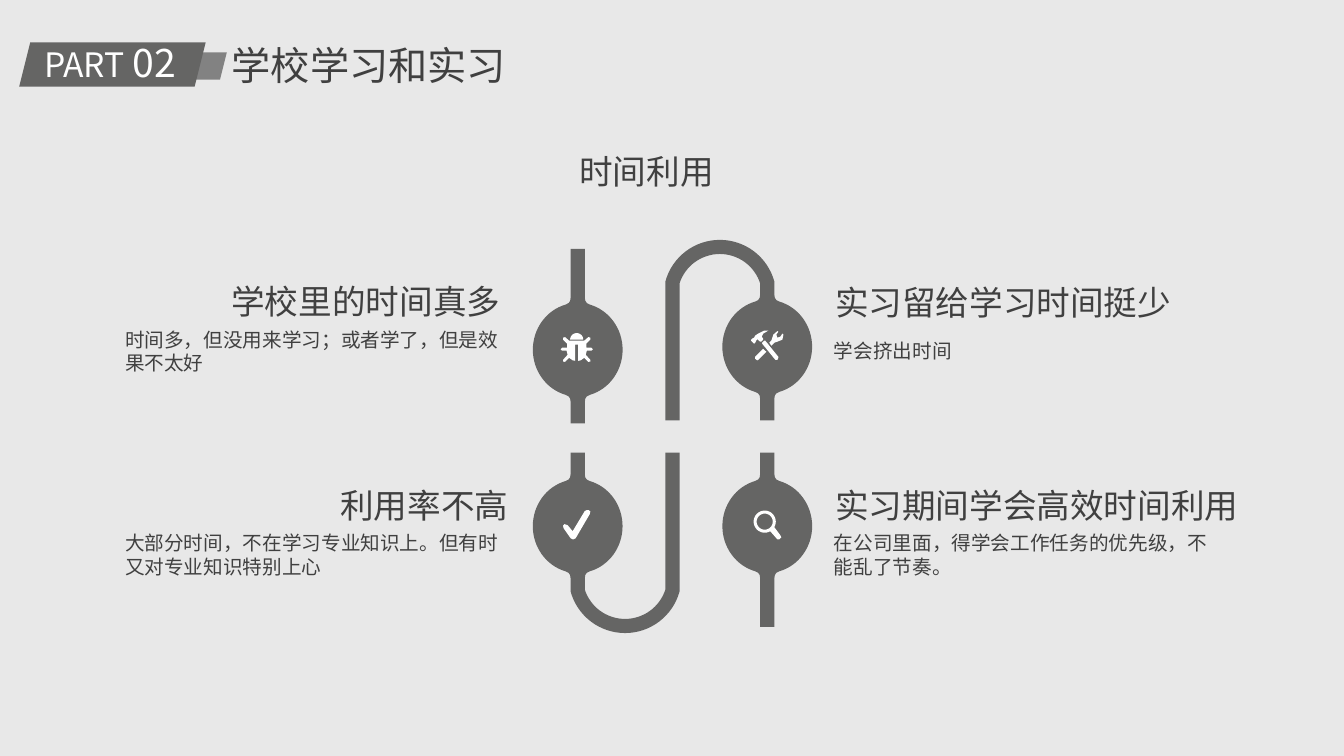
from dataclasses import dataclass
from math import acos, asin, cos, degrees, radians, sin
from typing import Optional

from pptx import Presentation
from pptx.dml.color import RGBColor as Rgb
from pptx.enum.shapes import MSO_SHAPE as Preset
from pptx.enum.text import MSO_AUTO_SIZE as AutoSize, PP_ALIGN as Align
from pptx.oxml.ns import qn
from pptx.util import Inches, Pt

Point = tuple[float, float]
Contour = list[Point]

# The slide is a grid of 1333 columns by 750 rows
COLUMNS, ROWS = 1333, 750
CELL = Inches(0.01)
FONT = "Noto Sans CJK SC"
COLORS = {"back": "E8E8E8", "track": "656564", "tab": "828282",
          "ink": "404040", "white": "FFFFFF"}

# Track measures, in cells
STEM, NODE_X, NODE_Y = 7, 44.5, 46.5
LONG_END, SHORT_END = 100, 73
POLE, BEND_Y, BEND_RADIUS = 94, 50, 49


@dataclass
class Label:
    spans: list[tuple[str, int]]
    left: float
    top: float
    width: float
    height: float
    align: Align = Align.LEFT
    color: str = "ink"
    body: bool = False


@dataclass
class Station:
    column: float
    row: float
    turn: int  # -1 turns the track upside down
    bent: bool
    icon: list[Contour]
    icon_column: float
    icon_row: float


def arc(x: float, y: float, radius: float, start: float, end: float,
        radius_y: Optional[float] = None, steps: int = 32) -> Contour:
    """Points along an arc, in degrees clockwise from the right."""
    angles = [radians(start + (end - start) * i / steps) for i in range(steps + 1)]
    return [(x + radius * cos(a), y + (radius_y or radius) * sin(a)) for a in angles]


def mirror(points: Contour) -> Contour:
    return [(-x, y) for x, y in reversed(points)]


def node_side() -> Contour:
    """Right side of a round node with its two flared necks, top to bottom."""
    flare = [(STEM, 52), (7.5, 48.5), (9, 46.3)]
    reach = degrees(acos(12 / NODE_X))
    upper = [(x, -y) for x, y in flare]
    return upper + arc(0, 0, NODE_X, -reach, reach, NODE_Y) + flare[::-1]


def straight_track() -> Contour:
    side = [(STEM, -LONG_END), *node_side(), (STEM, SHORT_END)]
    return side + mirror(side)


def bent_track() -> Contour:
    side = [(STEM, -SHORT_END), *node_side()]
    middle, outer, inner = POLE / 2, BEND_RADIUS + STEM, BEND_RADIUS - STEM
    low_inner = degrees(acos((middle - STEM) / inner))
    low_outer = degrees(acos((middle + STEM) / outer))
    return [*side,
            *arc(middle, BEND_Y, inner, 180 - low_inner, low_inner),
            (POLE - STEM, -SHORT_END), (POLE + STEM, -SHORT_END),
            *arc(middle, BEND_Y, outer, low_outer, 180 - low_outer),
            *mirror(side)]


# Icons, in cells around their centres
BUG_SIDE = [(1.5, -3), (1.5, 13), (4, 12.5), (7.5, 10), (11.5, 14), (13.5, 13.8),
            (13.5, 12), (9, 7), (10, 3), (14.5, 3), (16, 1.5), (14.5, 0), (9.5, 0),
            (9.5, -4), (13.5, -8), (13.5, -10), (11.5, -10.5), (7.5, -7)]
BUG = [BUG_SIDE + mirror(BUG_SIDE), arc(0, -8, 6.5, 180, 360)]
CHECK = [[(-4, 14), (-6, 13), (-13, 3), (-13.5, 0.5), (-12, -1), (-9, 0), (-4, 6),
          (8, -14), (10, -15), (12, -15), (13.5, -13.5), (13, -11), (-1, 13), (-3, 14)]]
LENS = [arc(-2.5, -3.5, 11, 60, 390) + [(13, 10), (14, 12), (12, 14), (10, 14)],
        arc(-2.5, -3.5, 8, 360, 0)]
TOOLS = [
    [(-12, 11), (-12, 13), (-10, 14.5), (-9, 14), (-1, 6), (-4, 3)],
    [(16, -11), (15, -12), (13, -9), (10, -8), (9, -11), (11, -14), (10, -14.5),
     (6, -11), (4, -5), (2, -3), (4, 0), (7, -3), (10, -4), (15, -6)],
    [(-2, -5), (-3, -5), (-5, -3), (-5, -2), (8, 14), (10, 14), (11, 12), (11, 11)],
    [(-11, -5), (-10, -6.5), (-7, -4), (-6, -4), (-4, -6), (-4, -7), (-5.5, -9),
     (-4, -12), (1, -15), (-3, -15), (-9, -12), (-12, -10), (-13, -8), (-15, -7),
     (-16, -6), (-16, -5), (-14, -3), (-13, -2), (-12, -3)],
]

STATIONS = [
    Station(573, 347, 1, False, BUG, 572, 345),
    Station(573, 522, 1, True, CHECK, 572, 521),
    Station(761, 344, -1, True, TOOLS, 761, 343),
    Station(761, 522, -1, False, LENS, 761, 521),
]

TABS = [("tab", 171, 52, 54, 27), ("track", 19, 42, 185, 44)]

LABELS = [
    Label([("PART ", 24), ("02", 28)], 34, 33, 154, 57, color="white"),
    Label([("学校学习和实习", 28)], 220, 36, 382, 57),
    Label([("时间利用 ", 24)], 452, 145, 386, 50, Align.CENTER),
    Label([("学校里的时间真多", 24)], 120, 274, 386, 50, Align.RIGHT),
    Label([("时间多，但没用来学习；或者学了，但是效果不太好", 14)],
          124, 325, 378, 83, body=True),
    Label([("利用率不高", 24)], 128, 476, 386, 50, Align.RIGHT),
    Label([("大部分时间，不在学习专业知识上。但有时又对专业知识特别上心", 14)],
          124, 527, 378, 75, body=True),
    Label([(" 实习留给学习时间挺少", 24)], 811, 275, 386, 50),
    Label([("学会挤出时间", 14)], 827, 336, 378, 83, body=True),
    Label([(" 实习期间学会高效时间利用", 24)], 811, 476, 445, 50),
    Label([("在公司里面，得学会工作任务的优先级，不能乱了节奏。", 14)],
          827, 527, 378, 75, body=True),
]


def cells(*counts: float) -> list[int]:
    return [round(count * CELL) for count in counts]


def paint(shape, color: str) -> None:
    shape.shadow.inherit = False
    shape.fill.solid()
    shape.fill.fore_color.rgb = Rgb.from_string(COLORS[color])
    shape.line.fill.background()


def draw_outline(page, contours: list[Contour], column: float, row: float,
                 color: str, turn: int = 1) -> None:
    placed = [[cells(column + turn * x, row + turn * y) for x, y in contour]
              for contour in contours]
    builder = page.shapes.build_freeform(*placed[0][0], scale=1.0)
    for index, points in enumerate(placed):
        if index:
            builder.move_to(*points[0])
        builder.add_line_segments(points[1:], close=True)
    paint(builder.convert_to_shape(), color)


def draw_label(page, label: Label) -> None:
    box = page.shapes.add_textbox(
        *cells(label.left, label.top, label.width, label.height))
    frame = box.text_frame
    form = {"word_wrap": True,
            "auto_size": AutoSize.NONE if label.body else AutoSize.SHAPE_TO_FIT_TEXT}
    if label.body:
        form |= {f"margin_{side}": 0 for side in ("left", "top", "right", "bottom")}
    for name, value in form.items():
        setattr(frame, name, value)
    para = frame.paragraphs[0]
    para.alignment = label.align
    if label.body:
        para.space_before = Pt(7.5)
    for text, size in label.spans:
        span = para.add_run()
        span.text = text
        for name, value in {"size": Pt(size), "name": FONT}.items():
            setattr(span.font, name, value)
        span.font.color.rgb = Rgb.from_string(COLORS[label.color])
        east_asian = span.font._element.makeelement(qn("a:ea"), {"typeface": FONT})
        span.font._element.find(qn("a:latin")).addnext(east_asian)


def main() -> None:
    deck = Presentation()
    deck.slide_width, deck.slide_height = cells(COLUMNS, ROWS)
    page = deck.slides.add_slide(deck.slide_layouts[6])
    page.background.fill.solid()
    page.background.fill.fore_color.rgb = Rgb.from_string(COLORS["back"])

    # Header tabs
    for color, *place in TABS:
        paint(page.shapes.add_shape(Preset.PARALLELOGRAM, *cells(*place)), color)

    # Tracks with their icons
    for stop in STATIONS:
        track = bent_track() if stop.bent else straight_track()
        draw_outline(page, [track], stop.column, stop.row, "track", stop.turn)
        draw_outline(page, stop.icon, stop.icon_column, stop.icon_row, "white")

    # Texts
    for label in LABELS:
        draw_label(page, label)

    deck.save("out.pptx")


if __name__ == "__main__":
    main()
